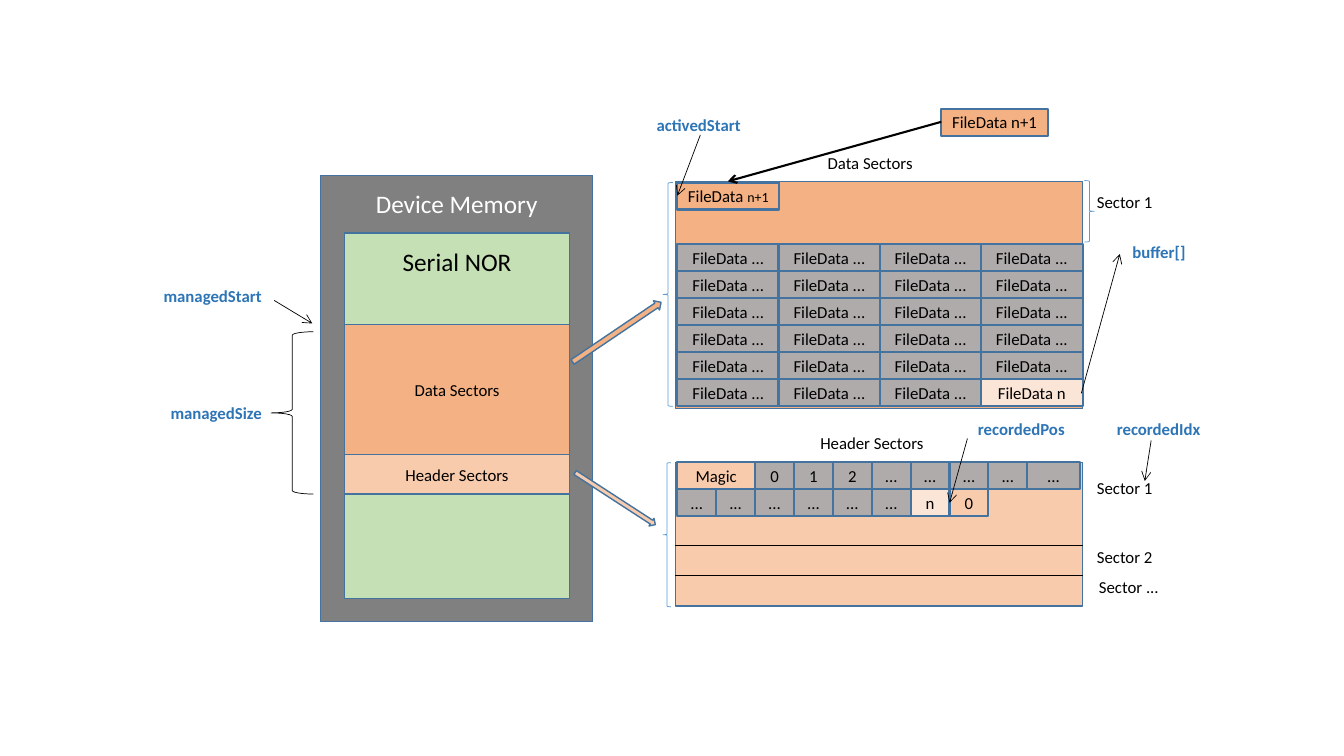
from lxml.etree import SubElement
from pptx import Presentation
from pptx.dml.color import RGBColor
from pptx.enum.shapes import MSO_CONNECTOR, MSO_SHAPE as Preset
from pptx.enum.text import MSO_ANCHOR as Anchor, PP_ALIGN as Align
from pptx.oxml.ns import qn
from pptx.util import Cm, Pt

FONT = "Calibri"
BLACK, WHITE, BLUE = "000000", "FFFFFF", "2E75B6"
EDGE, BRACKET = "43739E", "5B9BD5"
MEMORY, FREE, USED = "808080", "C5E0B4", "AFABAB"
DATA, HEADER, LATEST = "F4B183", "F8CBAD", "FBE5D6"

PANEL_LEFT, PANEL_WIDTH = 17.02, 10.26
CELL_LEFT, CELL_HEIGHT = 17.07, 0.68
LABEL_HEIGHT = 0.97


def rgb(value):
    """Turn a hex string into a colour."""
    return RGBColor.from_string(value)


def write(shape, *parts, sizes=(12,), color=BLACK, bold=False,
          anchor=Anchor.MIDDLE, top=0, bottom=0):
    """Fill a shape with one centred line made of differently sized parts."""
    frame = shape.text_frame
    frame.word_wrap = True
    frame.vertical_anchor = anchor
    frame.margin_left = frame.margin_right = 0
    frame.margin_top, frame.margin_bottom = Cm(top), Cm(bottom)
    line = frame.paragraphs[0]
    line.alignment = Align.CENTER
    for part, size in zip(parts, sizes):
        run = line.add_run()
        run.text = part
        run.font.name, run.font.size, run.font.bold = FONT, Pt(size), bold
        run.font.color.rgb = rgb(color)


def block(slide, left, top, width, height, fill=None, edge=EDGE, weight=1,
          preset=Preset.RECTANGLE, rotation=0):
    """Add a preset shape with a plain fill and outline."""
    shape = slide.shapes.add_shape(preset, Cm(left), Cm(top), Cm(width), Cm(height))
    shape.shadow.inherit = False
    shape.rotation = rotation
    if fill:
        shape.fill.solid()
        shape.fill.fore_color.rgb = rgb(fill)
    else:
        shape.fill.background()
    shape.line.color.rgb = rgb(edge)
    shape.line.width = Pt(weight)
    return shape


def cell(slide, left, top, width, fill, *parts, sizes=(12,)):
    """Add one record cell with its text."""
    record = block(slide, left, top, width, CELL_HEIGHT, fill, weight=1.5)
    write(record, *parts, sizes=sizes)


def label(slide, text, left, top, width, **style):
    """Add a free-standing label."""
    box = slide.shapes.add_textbox(Cm(left), Cm(top), Cm(width), Cm(LABEL_HEIGHT))
    write(box, text, **style)


def brace(slide, left, top, width, height, edge=BRACKET, preset=Preset.LEFT_BRACE):
    """Add a thin brace."""
    block(slide, left, top, width, height, edge=edge, weight=0.5, preset=preset)


def rule(slide, x1, y1, x2, y2, weight=0.5, arrow=True):
    """Add a straight black line, with an arrowhead at its end if wanted."""
    line = slide.shapes.add_connector(
        MSO_CONNECTOR.STRAIGHT, Cm(x1), Cm(y1), Cm(x2), Cm(y2))
    line.line.color.rgb = rgb(BLACK)
    line.line.width = Pt(weight)
    properties = line.element.spPr
    if arrow:
        SubElement(properties.find(qn("a:ln")), qn("a:tailEnd"), type="arrow")
    SubElement(properties, qn("a:effectLst"))


def draw_memory(slide):
    """Draw the device memory with its regions."""
    device = block(slide, 8.08, 4.42, 6.86, 11.25, MEMORY)
    write(device, "Device Memory", sizes=(18,), color=WHITE, anchor=Anchor.TOP, top=0.33)
    left, width = 8.69, 5.66
    flash = block(slide, left, 5.87, width, 9.22, FREE)
    write(flash, "Serial NOR", sizes=(18,), anchor=Anchor.TOP, top=0.33)
    write(block(slide, left, 8.18, width, 4.29, DATA), "Data Sectors", bottom=1.02)
    write(block(slide, left, 11.46, width, 0.99, HEADER), "Header Sectors")
    brace(slide, 6.83, 8.36, 1.07, 4.09, edge=BLACK)


def draw_data_sectors(slide):
    """Draw the data sectors with their grid of file records."""
    rows, columns, pitch, width = 6, 4, 2.55, 2.57
    block(slide, PANEL_LEFT, 4.57, PANEL_WIDTH, 5.72, DATA)
    for row in range(rows):
        for column in range(columns):
            last = (row, column) == (rows - 1, columns - 1)
            fill, text = (LATEST, "FileData n") if last else (USED, "FileData ...")
            cell(slide, CELL_LEFT + column * pitch, 6.15 + row * CELL_HEIGHT,
                 width, fill, text)
    cell(slide, CELL_LEFT, 4.6, width, DATA, "FileData ", "n+1", sizes=(12, 10))
    cell(slide, 23.72, 2.74, 2.69, DATA, "FileData n+1")
    brace(slide, 16.71, 4.6, 0.25, 5.64)
    brace(slide, 27.33, 4.55, 0.25, 1.55, preset=Preset.RIGHT_BRACE)


def draw_header_sectors(slide):
    """Draw the header sectors with their index entries."""
    block(slide, PANEL_LEFT, 11.66, PANEL_WIDTH, 3.61, HEADER)
    entry = 0.98
    used = [(text, entry, USED) for text in ("0", "1", "2", *["..."] * 4)]
    rows = (
        [("Magic", 2 * entry, None), *used, ("...", 1.32, USED)],
        [("...", entry, USED)] * 6 + [("n", entry, LATEST), ("0", entry, None)],
    )
    for row, entries in enumerate(rows):
        left = CELL_LEFT
        for text, width, fill in entries:
            cell(slide, left, 11.65 + row * CELL_HEIGHT, width, fill, text)
            left += width
    for boundary in (13.74, 14.5):
        rule(slide, PANEL_LEFT, boundary, PANEL_LEFT + PANEL_WIDTH, boundary, arrow=False)
    brace(slide, 16.71, 11.66, 0.2, 3.63)


def draw_labels(slide):
    """Add the section names and the names of the variables."""
    sections = (
        ("Data Sectors", 20.47, 3.63, 2.92),
        ("Header Sectors", 20.22, 10.67, 3.51),
        ("Sector 1", 27.28, 4.6, 2.13),
        ("Sector 1", 27.28, 11.81, 2.13),
        ("Sector 2", 27.28, 13.54, 2.13),
        ("Sector ...", 27.28, 14.3, 2.34),
    )
    variables = (
        ("managedStart", 3.81, 6.98, 3.1),
        ("managedSize", 3.99, 9.93, 2.92),
        ("activedStart", 16.15, 2.67, 2.92),
        ("buffer[]", 28.17, 5.87, 2.08),
        ("recordedPos", 24.28, 10.31, 2.92),
        ("recordedIdx", 27.74, 10.31, 2.92),
    )
    for section in sections:
        label(slide, *section)
    for variable in variables:
        label(slide, *variable, color=BLUE, bold=True)


def draw_arrows(slide):
    """Add the block arrows to the panels and the thin pointers."""
    block(slide, 14.2, 8.23, 2.69, 0.28, DATA, preset=Preset.RIGHT_ARROW, rotation=326)
    block(slide, 14.3, 12.45, 2.41, 0.23, HEADER, preset=Preset.RIGHT_ARROW, rotation=33)
    pointers = (
        (6.91, 7.57, 7.87, 8.15),
        (17.65, 3.4, 17.07, 4.93),
        (27.25, 9.91, 28.22, 6.4),
        (24.38, 11.05, 23.93, 12.67),
        (29.01, 11.1, 28.85, 12.12),
    )
    for pointer in pointers:
        rule(slide, *pointer)
    rule(slide, 23.72, 3.07, 18.34, 4.57, weight=1.5)


def main():
    """Build the memory layout slide and save it."""
    deck = Presentation()
    deck.slide_width, deck.slide_height = Cm(33.87), Cm(19.05)
    slide = deck.slides.add_slide(deck.slide_layouts[6])
    draw_memory(slide)
    draw_data_sectors(slide)
    draw_header_sectors(slide)
    draw_labels(slide)
    draw_arrows(slide)
    deck.save("out.pptx")


main()
